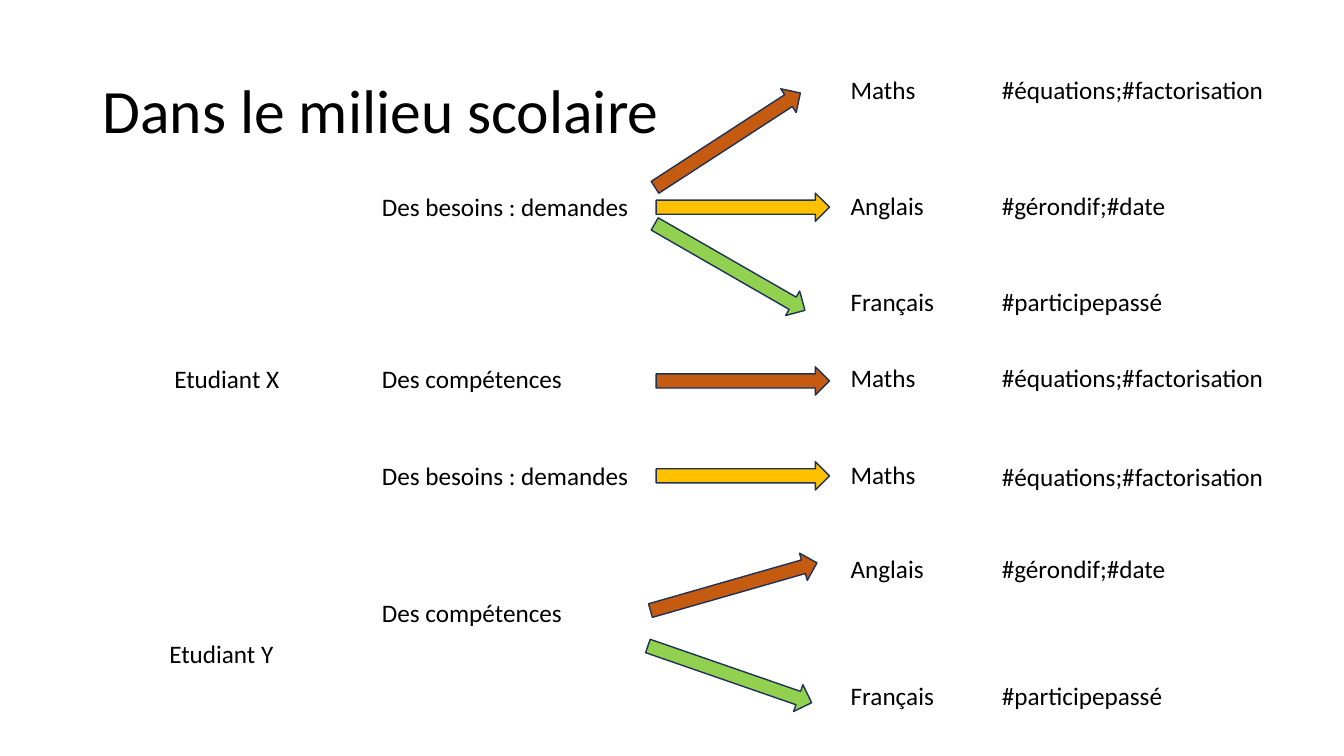
from pptx import Presentation
from pptx.dml.color import RGBColor
from pptx.enum.shapes import MSO_SHAPE
from pptx.enum.text import MSO_ANCHOR
from pptx.util import Pt

ARROW = MSO_SHAPE.RIGHT_ARROW
TOP, MIDDLE = MSO_ANCHOR.TOP, MSO_ANCHOR.MIDDLE
BLACK = RGBColor(0x00, 0x00, 0x00)
NAVY = RGBColor(0x1E, 0x32, 0x56)
ORANGE = RGBColor(0xC5, 0x5A, 0x11)
YELLOW = RGBColor(0xFF, 0xC0, 0x00)
GREEN = RGBColor(0x92, 0xD0, 0x50)

deck = Presentation()
deck.slide_width, deck.slide_height = Pt(960), Pt(540)
slide = deck.slides.add_slide(deck.slide_layouts[6])


def add_text(text, left, top, width, height=29, size=18, anchor=TOP):
    box = slide.shapes.add_textbox(Pt(left), Pt(top), Pt(width), Pt(height))
    frame = box.text_frame
    frame.word_wrap = True
    frame.vertical_anchor = anchor
    frame.text = text
    font = frame.paragraphs[0].runs[0].font
    font.name, font.size = "Calibri", Pt(size)
    font.color.rgb = BLACK
    return frame


title = add_text("Dans le milieu scolaire", 66.2, 28.8, 828, 104.4, 44, MIDDLE)
title.paragraphs[0].line_spacing = 0.9

for name, left, top in [("Etudiant X", 117.4, 255.6), ("Etudiant Y", 113.8, 452.2)]:
    add_text(name, left, top, 108.7)

needs, skills = "Des besoins : demandes", "Des compétences"
for group, top in [(needs, 133.2), (skills, 255.6), (needs, 325.4), (skills, 423.4)]:
    add_text(group, 265.7, top, 203.8)

tags = {
    "Maths": "#équations;#factorisation",
    "Anglais": "#gérondif;#date",
    "Français": "#participepassé",
}
rows = [
    ("Maths", 49.7, 49.7, ORANGE, 457.9, 90, 327),
    ("Anglais", 132.5, 132.5, YELLOW, 468.7, 137.9, 0),
    ("Français", 200.9, 200.9, GREEN, 459.4, 180.7, 29.9),
    ("Maths", 254.9, 254.9, ORANGE, 468.7, 262, 0),
    ("Maths", 324.7, 326.2, YELLOW, 468.7, 329.8, 0),
    ("Anglais", 391.7, 391.7, ORANGE, 462.2, 409, 344),
    ("Français", 482.4, 482.4, GREEN, 459.4, 471.6, 19.1),
]
for topic, top, tag_top, color, left, arrow_top, angle in rows:
    add_text(topic, 600.5, top, 108.7)
    add_text(tags[topic], 708.5, tag_top, 210.2)
    arrow = slide.shapes.add_shape(ARROW, Pt(left), Pt(arrow_top), Pt(123.8), Pt(20.2))
    arrow.rotation = angle
    arrow.shadow.inherit = False
    arrow.fill.solid()
    arrow.fill.fore_color.rgb = color
    arrow.line.color.rgb = NAVY
    arrow.line.width = Pt(1)

deck.save("out.pptx")
